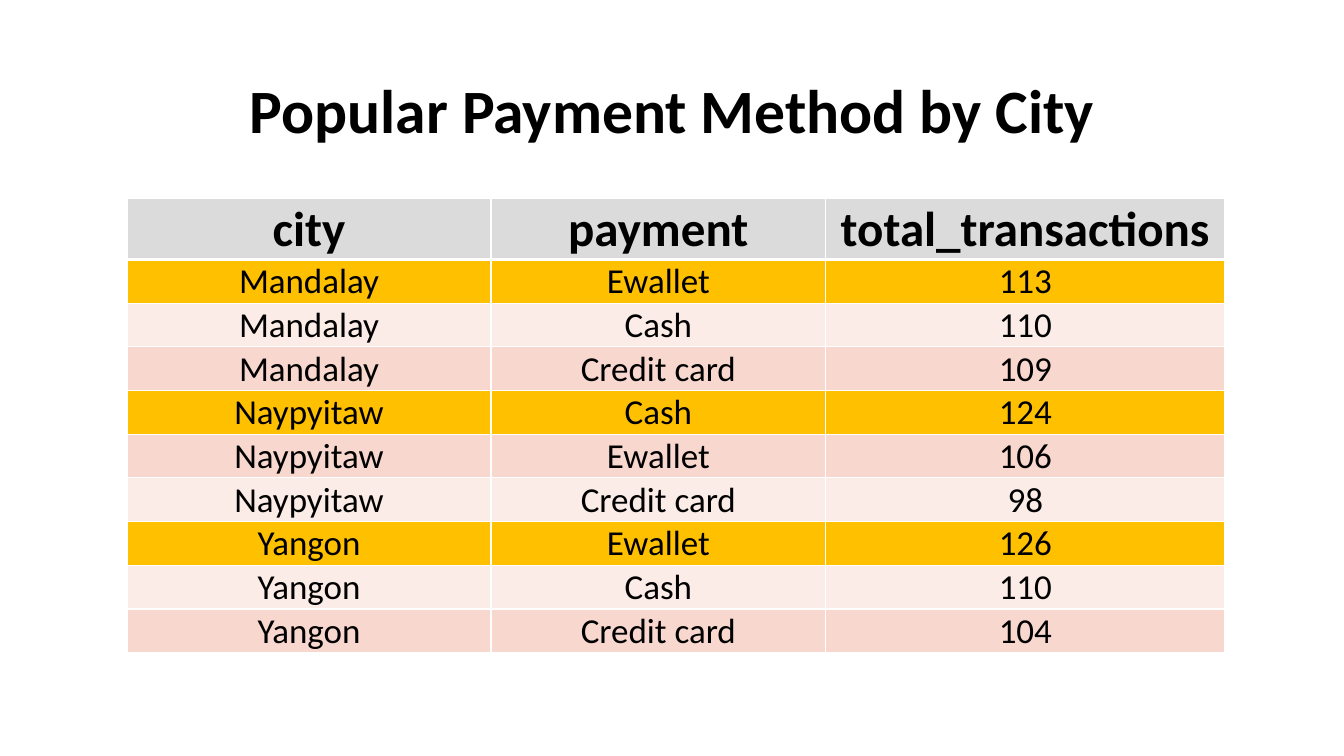
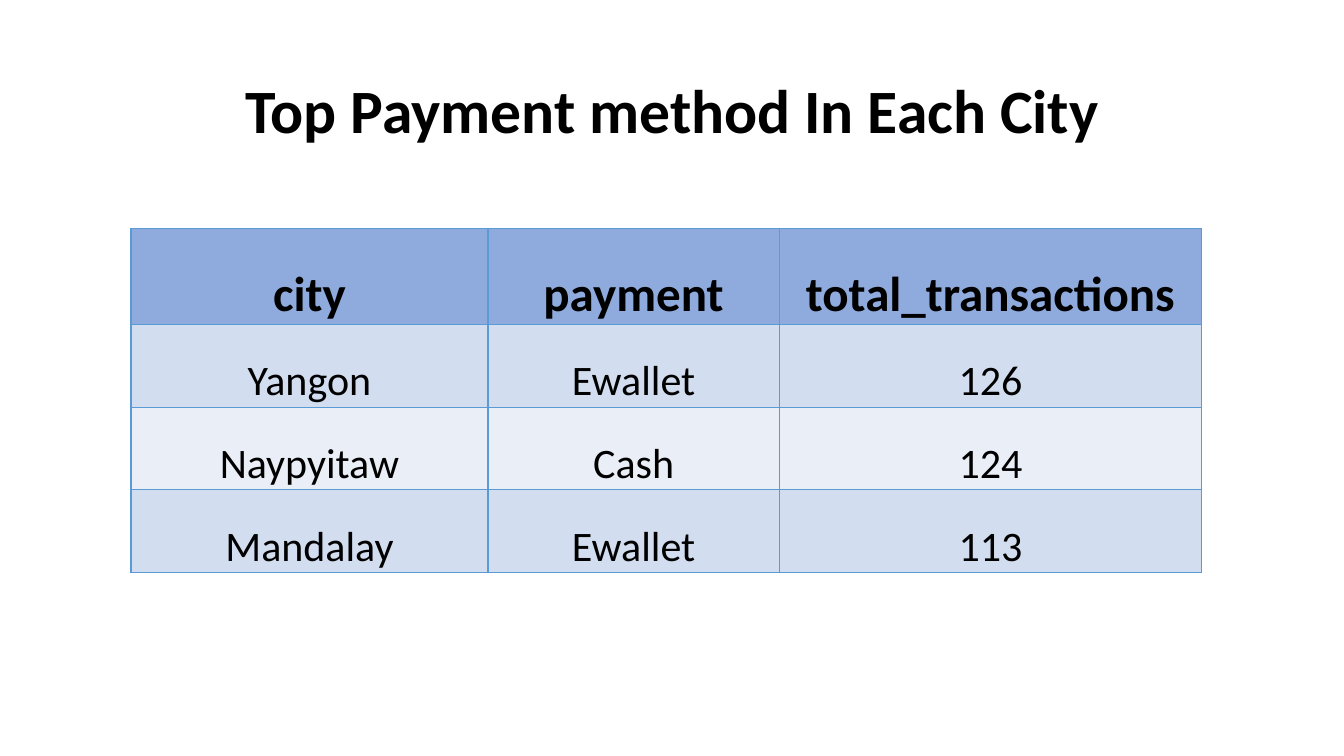
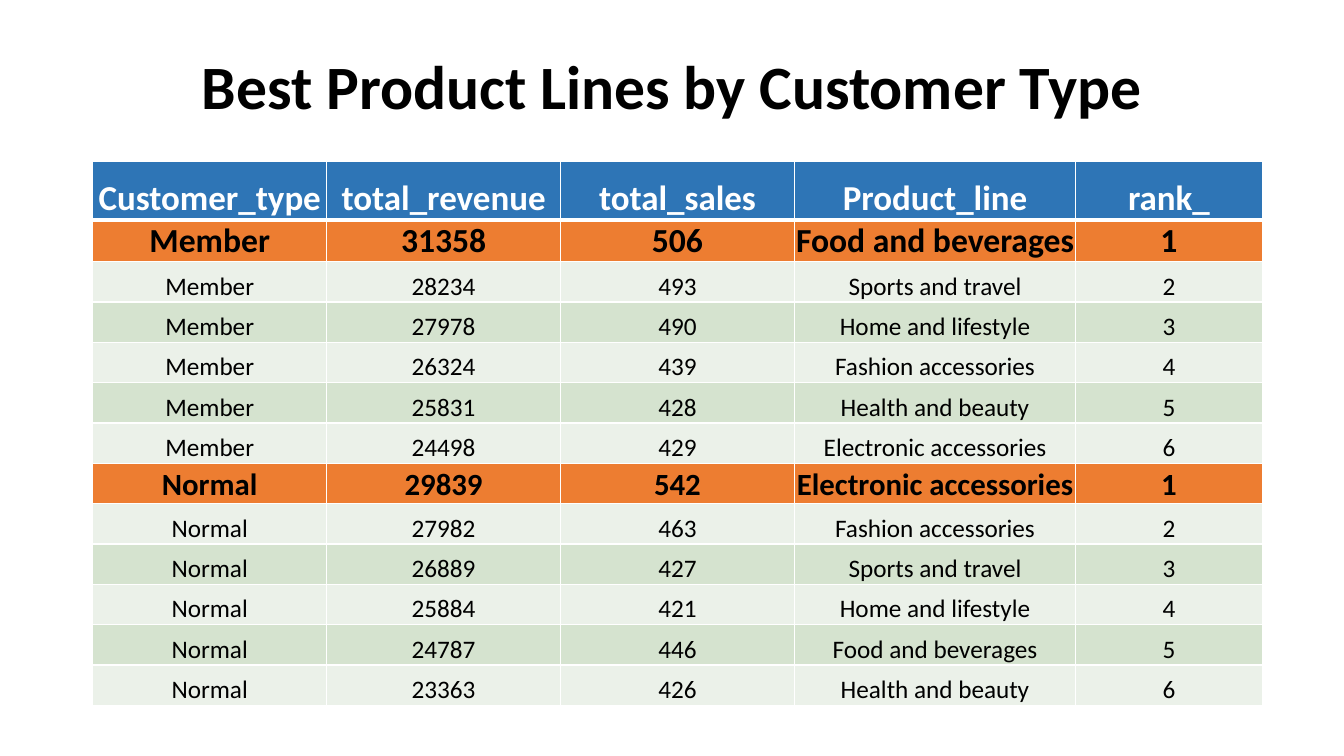
from lxml import etree
from pptx import Presentation
from pptx.dml.color import RGBColor
from pptx.enum.text import MSO_ANCHOR, MSO_AUTO_SIZE, PP_ALIGN
from pptx.oxml.ns import qn
from pptx.util import Inches, Pt

CENTER = PP_ALIGN.CENTER
MIDDLE = MSO_ANCHOR.MIDDLE
BOTTOM = MSO_ANCHOR.BOTTOM
NO_FIT = MSO_AUTO_SIZE.NONE
TITLE_ONLY = 5

# Shared look
FONT = "Calibri"
COLORS = {
    "black": "000000", "white": "FFFFFF",
    "gray": "DBDBDB", "gold": "FFC000", "rose": "F8D7CE", "blush": "FCECE8",
    "periwinkle": "8FAADC", "sky": "D2DEEF", "ice": "EAEFF7", "grid_blue": "5B9BD5",
    "blue": "2E75B6", "orange": "ED7D31", "sage": "D5E3CF", "mist": "EBF1E9",
}
TITLE_FRAME = {"auto_size": NO_FIT, "vertical_anchor": MIDDLE, "word_wrap": True}
CELL_FORMAT = {
    "vertical_anchor": BOTTOM,
    "margin_left": Inches(0.01), "margin_right": Inches(0.01),
    "margin_top": Inches(0.01), "margin_bottom": 0,
}

# Content: "highlights" maps a row number to its text size
TABLE_SLIDES = [
    {
        "title": "Popular Payment Method by City", "title_height": 1.45,
        "left": 1.26, "top": 1.97,
        "widths": [3.61, 3.32, 3.96], "header_height": 0.41, "row_height": 0.41,
        "header_fill": "gray", "header_color": "black", "header_size": 35,
        "bands": ["blush", "rose"], "body_size": 25,
        "highlights": {1: 25, 4: 25, 7: 25}, "highlight_fill": "gold",
        "highlight_bold": False,
        "border": "white", "header_rule": 3,
        "rows": [
            ("city", "payment", "total_transactions"),
            ("Mandalay", "Ewallet", "113"),
            ("Mandalay", "Cash", "110"),
            ("Mandalay", "Credit card", "109"),
            ("Naypyitaw", "Cash", "124"),
            ("Naypyitaw", "Ewallet", "106"),
            ("Naypyitaw", "Credit card", "98"),
            ("Yangon", "Ewallet", "126"),
            ("Yangon", "Cash", "110"),
            ("Yangon", "Credit card", "104"),
        ],
    },
    {
        "title": "Top Payment method In Each City", "title_height": 1.45,
        "left": 1.3, "top": 2.27,
        "widths": [3.54, 2.89, 4.19], "header_height": 0.95, "row_height": 0.82,
        "header_fill": "periwinkle", "header_color": "black", "header_size": 35,
        "bands": ["ice", "sky"], "body_size": 30,
        "highlights": {},
        "border": "grid_blue", "header_rule": 1,
        "rows": [
            ("city", "payment", "total_transactions"),
            ("Yangon", "Ewallet", "126"),
            ("Naypyitaw", "Cash", "124"),
            ("Mandalay", "Ewallet", "113"),
        ],
    },
    {
        "title": "Best Product Lines by Customer Type", "title_height": 0.98,
        "left": 0.92, "top": 1.6,
        "widths": [2.32, 2.32, 2.32, 2.79, 1.85], "header_height": 0.58, "row_height": 0.4,
        "header_fill": "blue", "header_color": "white", "header_size": 25,
        "bands": ["mist", "sage"], "body_size": 18,
        "highlights": {1: 24, 7: 22}, "highlight_fill": "orange",
        "highlight_bold": True,
        "border": "white", "header_rule": 3,
        "rows": [
            ("Customer_type", "total_revenue", "total_sales", "Product_line", "rank_"),
            ("Member", "31358", "506", "Food and beverages", "1"),
            ("Member", "28234", "493", "Sports and travel", "2"),
            ("Member", "27978", "490", "Home and lifestyle", "3"),
            ("Member", "26324", "439", "Fashion accessories", "4"),
            ("Member", "25831", "428", "Health and beauty", "5"),
            ("Member", "24498", "429", "Electronic accessories", "6"),
            ("Normal", "29839", "542", "Electronic accessories", "1"),
            ("Normal", "27982", "463", "Fashion accessories", "2"),
            ("Normal", "26889", "427", "Sports and travel", "3"),
            ("Normal", "25884", "421", "Home and lifestyle", "4"),
            ("Normal", "24787", "446", "Food and beverages", "5"),
            ("Normal", "23363", "426", "Health and beauty", "6"),
        ],
    },
]


def format_text(paragraph, size, color, bold):
    paragraph.alignment = CENTER
    for name, value in {"name": FONT, "size": Pt(size), "bold": bold}.items():
        setattr(paragraph.font, name, value)
    paragraph.font.color.rgb = RGBColor.from_string(COLORS[color])


def add_borders(cell, color, top, bottom):
    properties = cell._tc.get_or_add_tcPr()
    for side, points in {"lnL": 1, "lnR": 1, "lnT": top, "lnB": bottom}.items():
        line = etree.SubElement(properties, qn(f"a:{side}"), w=str(Pt(points)))
        fill = etree.SubElement(line, qn("a:solidFill"))
        etree.SubElement(fill, qn("a:srgbClr"), val=COLORS[color])


prs = Presentation()
prs.slide_width = Inches(13.33)
prs.slide_height = Inches(7.5)

for content in TABLE_SLIDES:
    slide = prs.slides.add_slide(prs.slide_layouts[TITLE_ONLY])

    # Title
    title = slide.shapes.title
    title.left, title.top = Inches(0.92), Inches(0.4)
    title.width, title.height = Inches(11.5), Inches(content["title_height"])
    title.text_frame.text = content["title"]
    for name, value in TITLE_FRAME.items():
        setattr(title.text_frame, name, value)
    heading = title.text_frame.paragraphs[0]
    heading.line_spacing = 0.9
    format_text(heading, 44, "black", True)

    # Table grid
    rows, widths = content["rows"], content["widths"]
    heights = [content["header_height"]] + [content["row_height"]] * (len(rows) - 1)
    table = slide.shapes.add_table(
        len(rows), len(widths), Inches(content["left"]), Inches(content["top"]),
        Inches(sum(widths)), Inches(sum(heights))).table
    table.horz_banding = False
    for column, width in zip(table.columns, widths):
        column.width = Inches(width)

    # Rows: header, highlighted leaders, alternating bands
    for number, values in enumerate(rows):
        table.rows[number].height = Inches(heights[number])
        if number == 0:
            fill, size = content["header_fill"], content["header_size"]
            color, bold = content["header_color"], True
        elif number in content["highlights"]:
            fill, size = content["highlight_fill"], content["highlights"][number]
            color, bold = "black", content["highlight_bold"]
        else:
            fill, size = content["bands"][number % 2], content["body_size"]
            color, bold = "black", False
        top = content["header_rule"] if number == 1 else 1
        bottom = content["header_rule"] if number == 0 else 1

        for cell, value in zip(table.rows[number].cells, values):
            cell.text = value
            for name, setting in CELL_FORMAT.items():
                setattr(cell, name, setting)
            format_text(cell.text_frame.paragraphs[0], size, color, bold)
            add_borders(cell, content["border"], top, bottom)
            cell.fill.solid()
            cell.fill.fore_color.rgb = RGBColor.from_string(COLORS[fill])

prs.save("out.pptx")
